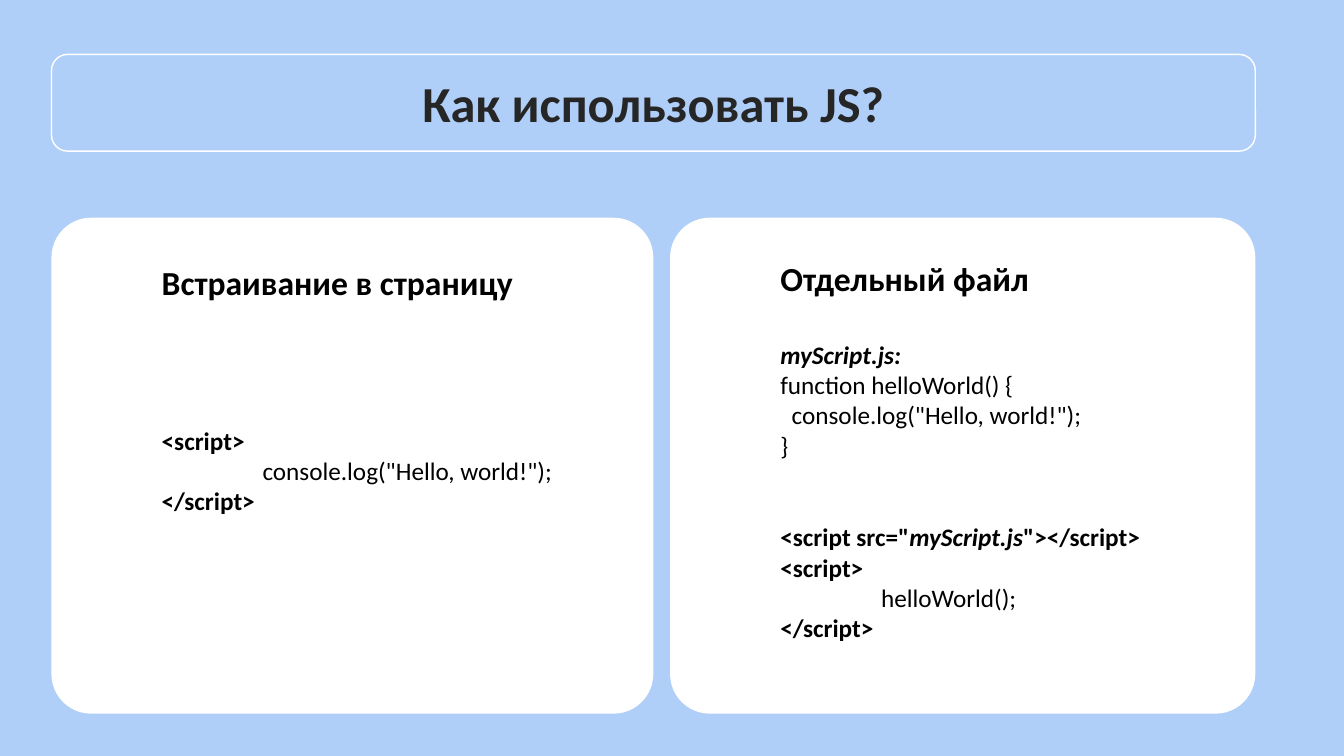
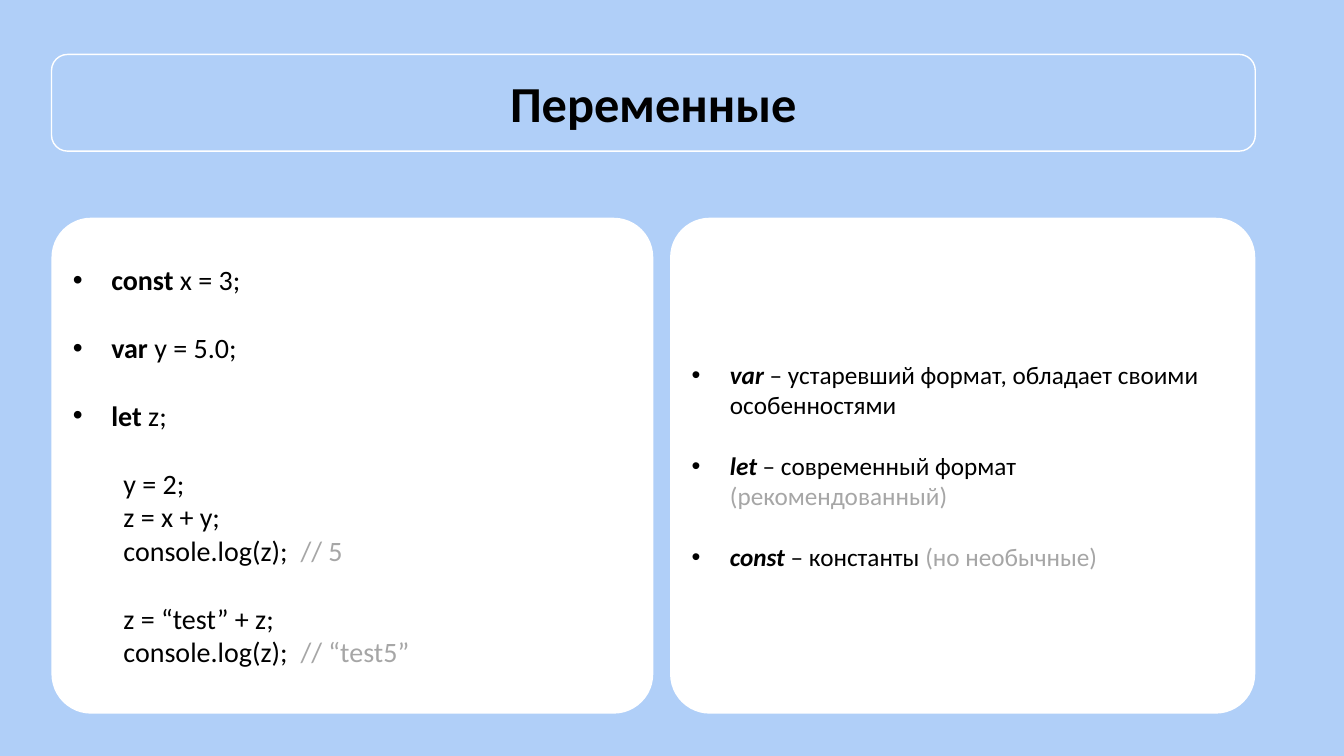
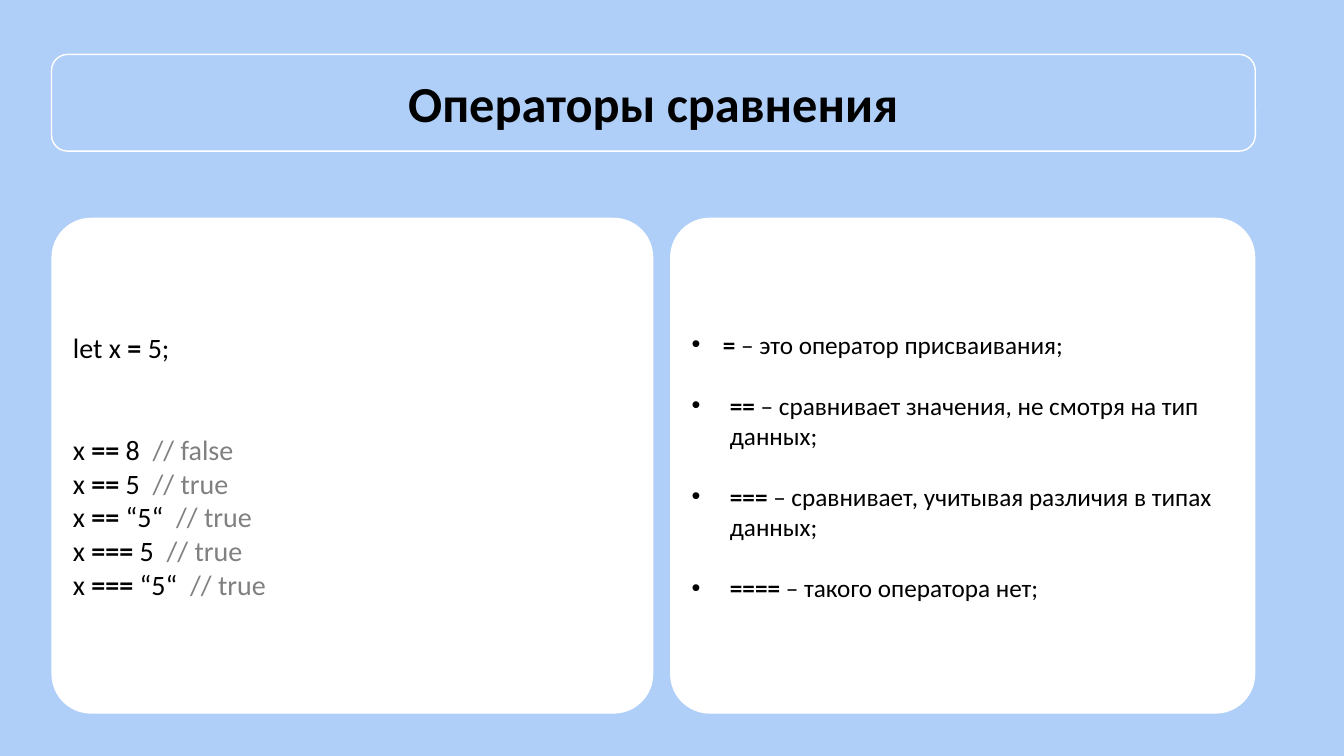
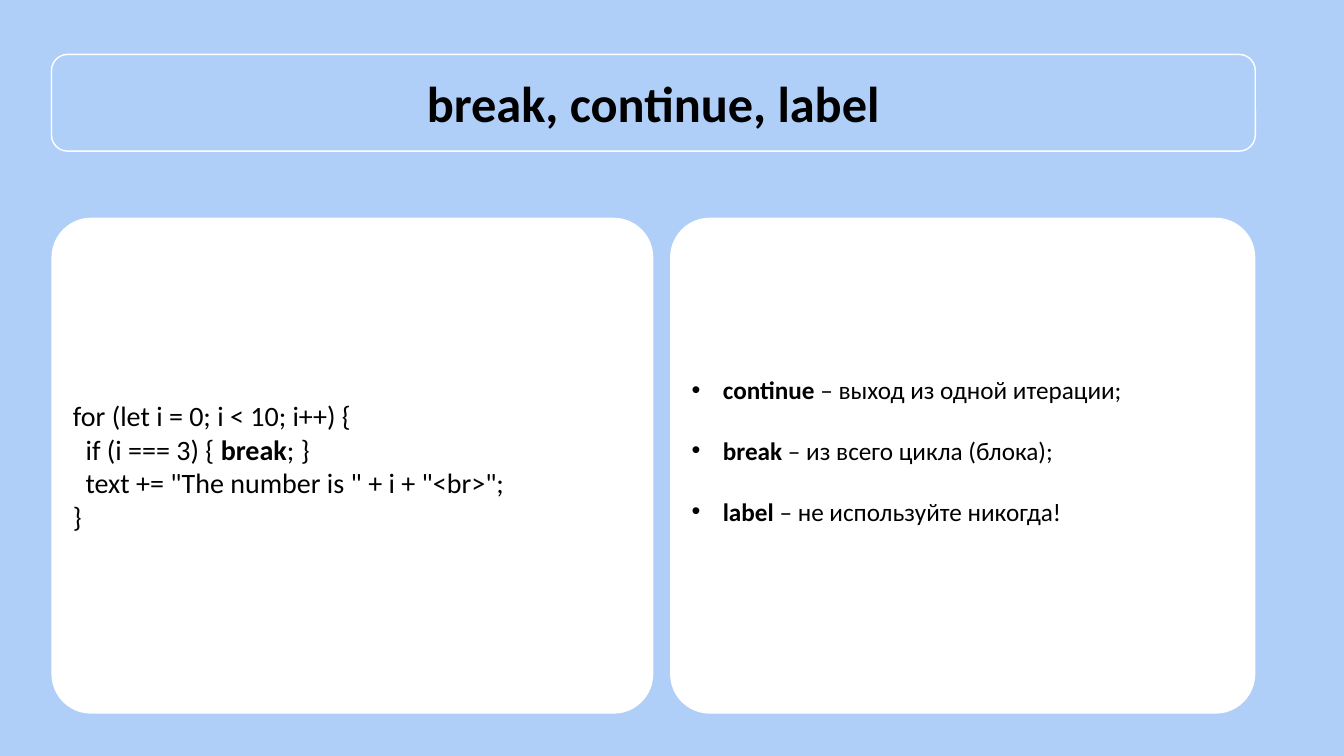
"""Build four lesson slides on JavaScript basics."""
from dataclasses import dataclass

from lxml.etree import SubElement
from pptx import Presentation
from pptx.dml.color import RGBColor
from pptx.enum.shapes import MSO_SHAPE as Preset
from pptx.enum.text import MSO_ANCHOR as Anchor, PP_ALIGN as Align
from pptx.oxml.ns import qn
from pptx.util import Inches, Pt

COLOURS = {
    "sky": "B0CFF8",
    "white": "FFFFFF",
    "black": "000000",
    "charcoal": "262626",
    "silver": "A6A6A6",
    "grey": "808080",
}
FONT = "Calibri"
WIDTH, HEIGHT = Inches(13.33), Inches(7.5)
LINE_HEIGHT = 1.22

MARGIN, CONTENT, GAP = 3.83, 89.57, 1.25
LEFT_WIDTH = 44.78
TITLE_ROW = (7.2, 12.8)
PANEL_ROW = (28.8, 65.6)
COLUMNS = {
    "full": (MARGIN, CONTENT),
    "left": (MARGIN, LEFT_WIDTH),
    "right": (MARGIN + LEFT_WIDTH + GAP, CONTENT - LEFT_WIDTH - GAP),
}
PANEL_CORNER = 0.08
INSET = Inches(0.05)
QUOTE_INDENT = 0.88
TAB = 1
CODE_INDENT = 0.5
HANG = 0.38
SHORT_HANG = 0.31


@dataclass
class Line:
    """One paragraph: (text, style, colour) runs, indents in inches, gap in lines."""

    runs: list
    left: float = 0
    hang: float = 0
    gap: float = 0
    size: float = 0


def plain(text, **layout):
    """Return a line with one regular run."""
    return Line([(text, "", "black")], **layout)


def bold(text, style="b", **layout):
    """Return a line with one bold run."""
    return Line([(text, style, "black")], **layout)


def bullet(term, text, style="b", note="", hang=HANG, gap=1):
    """Return a bulleted line: a bold term, its text and a pale note."""
    runs = [(term + " ", style, "black"), (text, "", "black")]
    if note:
        runs.append((note, "", "silver"))
    return Line(runs, left=hang, hang=hang, gap=gap)


def commented(code, comment, colour="silver", **layout):
    """Return a code line made of runs, followed by a pale comment."""
    return Line([*code, ("  " + comment, "", colour)], **layout)


def comparison(operator, value, answer, gap=0):
    """Return a code line that compares x with a value."""
    code = [("x ", "", "black"), (operator, "b", "black"), (" " + value, "", "black")]
    return commented(code, "// " + answer, "grey", gap=gap)


def colour_of(name):
    """Return the named colour."""
    return RGBColor.from_string(COLOURS[name])


def add_run(paragraph, text, style, colour, size):
    """Add one run; the style holds b for bold and i for italic."""
    run = paragraph.add_run()
    run.text = text
    font = run.font
    font.name, font.size = FONT, Pt(size)
    font.bold, font.italic = "b" in style, "i" in style
    font.color.rgb = colour_of(colour)


def set_indent(paragraph, line):
    """Set the indents of a paragraph and, if it hangs, its bullet."""
    properties = paragraph._p.get_or_add_pPr()
    properties.set("marL", str(Inches(line.left)))
    properties.set("indent", str(-Inches(line.hang)))
    if line.hang:
        SubElement(properties, qn("a:buFont")).set("typeface", "Arial")
        SubElement(properties, qn("a:buChar")).set("char", "•")


def add_box(slide, column, row):
    """Add a rounded box on the grid."""
    (left, width), (top, height) = COLUMNS[column], row
    shape = slide.shapes.add_shape(
        Preset.ROUNDED_RECTANGLE,
        int(WIDTH * left / 100), int(HEIGHT * top / 100),
        int(WIDTH * width / 100), int(HEIGHT * height / 100),
    )
    shape.shadow.inherit = False
    shape.text_frame.word_wrap = True
    shape.text_frame.vertical_anchor = Anchor.MIDDLE
    return shape


def add_title(slide, text, colour):
    """Add the outlined title band."""
    shape = add_box(slide, "full", TITLE_ROW)
    shape.fill.background()
    shape.line.color.rgb = colour_of("white")
    shape.line.width = Pt(1)
    paragraph = shape.text_frame.paragraphs[0]
    paragraph.alignment = Align.CENTER
    add_run(paragraph, text, "b", colour, 36)


def add_panel(slide, column, lines, size, lift=0):
    """Add a white panel of lines, raised by leaving some lines free below."""
    shape = add_box(slide, column, PANEL_ROW)
    shape.adjustments[0] = PANEL_CORNER
    shape.fill.solid()
    shape.fill.fore_color.rgb = colour_of("white")
    shape.line.fill.background()
    frame = shape.text_frame
    frame.margin_top = INSET
    frame.margin_bottom = INSET + Pt(lift * size * LINE_HEIGHT)
    for index, line in enumerate(lines):
        paragraph = frame.add_paragraph() if index else frame.paragraphs[0]
        paragraph.alignment = Align.LEFT
        set_indent(paragraph, line)
        if index and line.gap:
            paragraph.space_before = Pt(line.gap * size * LINE_HEIGHT)
        for text, style, colour in line.runs:
            add_run(paragraph, text, style, colour, line.size or size)


def add_slide(presentation, title, title_colour="black"):
    """Add a blank slide with the shared background and title."""
    slide = presentation.slides.add_slide(presentation.slide_layouts[6])
    slide.background.fill.solid()
    slide.background.fill.fore_color.rgb = colour_of("sky")
    add_title(slide, title, title_colour)
    return slide


def add_usage(presentation):
    """Add the slide on ways to use JS."""
    slide = add_slide(presentation, "Как использовать JS?", "charcoal")
    quote, inner = {"left": QUOTE_INDENT}, {"left": QUOTE_INDENT + TAB}
    add_panel(slide, "left", [
        bold("Встраивание в страницу", size=24, **quote),
        bold("<script>", gap=4, **quote),
        plain('console.log("Hello, world!");', **inner),
        bold("</script>", **quote),
    ], 18, lift=5)
    source = [
        ('<script src="', "b", "black"),
        ("myScript.js", "bi", "black"),
        ('"></script>', "b", "black"),
    ]
    add_panel(slide, "right", [
        bold("Отдельный файл", size=24, **quote),
        bold("myScript.js:", "bi", gap=1.33, **quote),
        plain("function helloWorld() {", **quote),
        plain('  console.log("Hello, world!");', **quote),
        plain("}", **quote),
        Line(source, gap=2, **quote),
        bold("<script>", **quote),
        plain("helloWorld();", **inner),
        bold("</script>", **quote),
    ], 18, lift=1)


def add_variables(presentation):
    """Add the slide on variables."""
    slide = add_slide(presentation, "Переменные")
    log = [("console.log(z);", "", "black")]
    code = {"left": CODE_INDENT}
    add_panel(slide, "left", [
        bullet("const", "x = 3;"),
        bullet("var", "y = 5.0;"),
        bullet("let", "z;"),
        plain("y = 2;", gap=1, **code),
        plain("z = x + y;", **code),
        commented(log, "// 5", **code),
        plain("z = “test” + z;", gap=1, **code),
        commented(log, "// “test5”", **code),
    ], 20)
    add_panel(slide, "right", [
        bullet("var", "– устаревший формат, обладает своими особенностями", "bi"),
        bullet("let", "– современный формат ", "bi", "(рекомендованный)"),
        bullet("const", "– константы ", "bi", "(но необычные)"),
    ], 18)


def add_comparisons(presentation):
    """Add the slide on comparison operators."""
    slide = add_slide(presentation, "Операторы сравнения")
    assignment = [("let x ", "", "black"), ("= ", "b", "black"), ("5;", "", "black")]
    add_panel(slide, "left", [
        Line(assignment),
        comparison("==", "8", "false", gap=2),
        comparison("==", "5", "true"),
        comparison("==", "“5“", "true"),
        comparison("===", "5", "true"),
        comparison("===", "“5“", "true"),
    ], 20)
    add_panel(slide, "right", [
        bullet("=", "– это оператор присваивания;", hang=SHORT_HANG),
        bullet("==", "– сравнивает значения, не смотря на тип данных;"),
        bullet("===", "– сравнивает, учитывая различия в типах данных;"),
        bullet("====", "– такого оператора нет;"),
    ], 18)


def add_jumps(presentation):
    """Add the slide on loop jumps."""
    slide = add_slide(presentation, "break, continue, label")
    condition = [
        ("  if (i === 3) { ", "", "black"),
        ("break", "b", "black"),
        ("; }", "", "black"),
    ]
    add_panel(slide, "left", [
        plain("for (let i = 0; i < 10; i++) {"),
        Line(condition),
        plain('  text += "The number is " + i + "<br>";'),
        plain("}"),
    ], 20)
    add_panel(slide, "right", [
        bullet("continue", "– выход из одной итерации;", hang=SHORT_HANG),
        bullet("break", "– из всего цикла (блока);", hang=SHORT_HANG),
        bullet("label", "– не используйте никогда!", hang=SHORT_HANG),
    ], 18, lift=1)


def main():
    """Build and save the presentation."""
    presentation = Presentation()
    presentation.slide_width, presentation.slide_height = WIDTH, HEIGHT
    for add_topic in (add_usage, add_variables, add_comparisons, add_jumps):
        add_topic(presentation)
    presentation.save("out.pptx")


if __name__ == "__main__":
    main()
